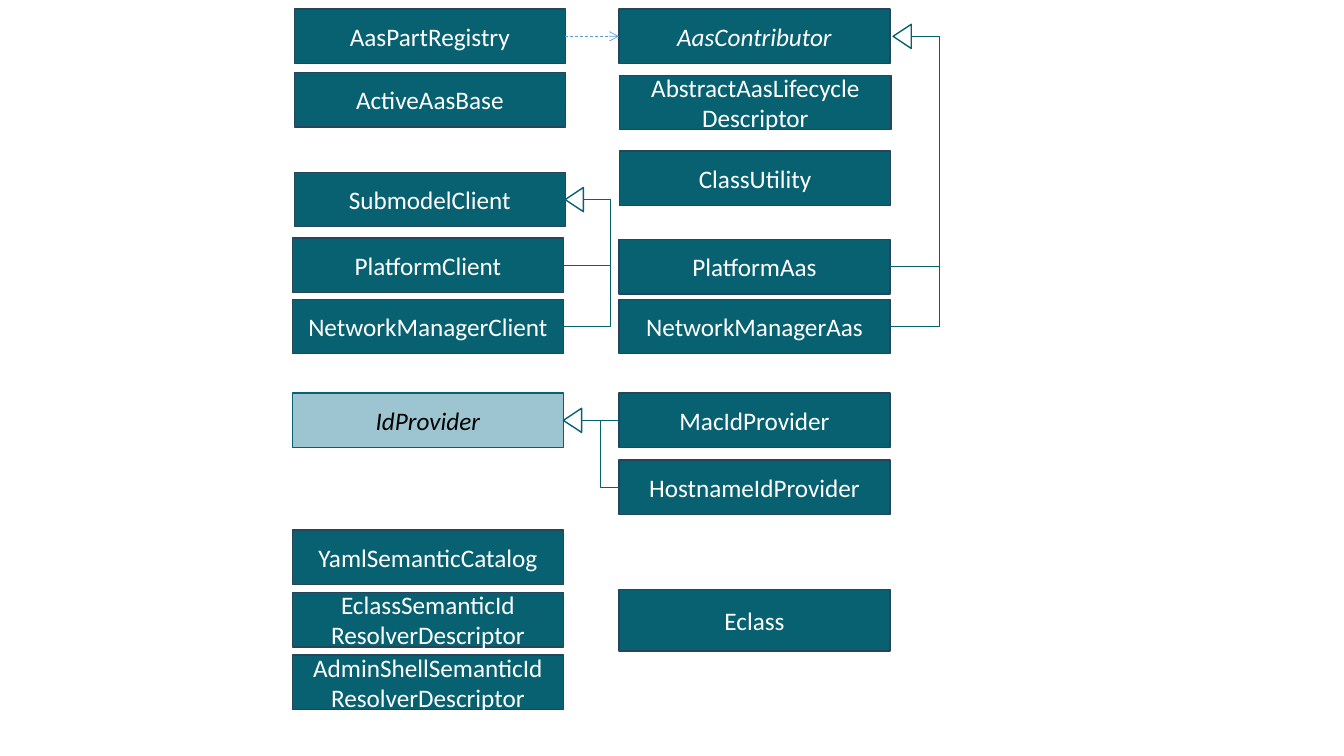
"""Build a class diagram slide of asset administration shell components."""
import pptx
import pptx.dml.color
import pptx.enum.dml
import pptx.enum.shapes
import pptx.enum.text
import pptx.oxml
import pptx.oxml.ns
import pptx.util
from pptx.util import Pt

LEFT, LEFT_INSET, RIGHT = 208.8, 210.2, 442.1
BOX_WIDTH, BOX_HEIGHT, TALL_HEIGHT = 193.7, 38.9, 43.9
TRIANGLE_BASE, TRIANGLE_DEPTH = 17.3, 13

CLASSES = [
    ("AasPartRegistry", LEFT_INSET, 6.5),
    ("ActiveAasBase", LEFT_INSET, 51.8),
    ("SubmodelClient", LEFT_INSET, 123.1),
    ("PlatformClient", LEFT, 169.9),
    ("NetworkManagerClient", LEFT, 213.8),
    ("IdProvider", LEFT, 280.8),
    ("YamlSemanticCatalog", LEFT, 378.7),
    ("EclassSemanticId\vResolverDescriptor", LEFT, 423.2),
    ("AdminShellSemanticId\vResolverDescriptor", LEFT, 468),
    ("AasContributor", RIGHT, 6.5),
    ("AbstractAasLifecycle\vDescriptor", RIGHT + 0.6, 53.8),
    ("ClassUtility", RIGHT + 0.4, 108),
    ("PlatformAas", RIGHT, 171.2),
    ("NetworkManagerAas", RIGHT, 213.8),
    ("MacIdProvider", RIGHT, 280.8),
    ("HostnameIdProvider", RIGHT, 328.5),
    ("Eclass", RIGHT, 421.2),
]
ABSTRACT = {"AasContributor", "IdProvider"}
HIGHLIGHTED = {"IdProvider"}
TALL = {"Eclass"}
USES = ("AasPartRegistry", "AasContributor")
INHERITANCE = [
    ("AasContributor", ["PlatformAas", "NetworkManagerAas"], 644.4, 671),
    ("SubmodelClient", ["PlatformClient", "NetworkManagerClient"], 410.2, 436.3),
    ("IdProvider", ["MacIdProvider", "HostnameIdProvider"], 408.9, 428.6),
]


def color(value):
    return pptx.dml.color.RGBColor.from_string(value)


THEME = {
    "font": "Calibri",
    "size": Pt(18),
    "text": color("FFFFFF"),
    "box": color("086171"),
    "border": color("28445D"),
    "highlight": color("9CC5D1"),
    "highlight_text": color("000000"),
    "arrow": color("5B9BD5"),
}


def add_class(slide, name, left, top):
    height = TALL_HEIGHT if name in TALL else BOX_HEIGHT
    highlighted = name in HIGHLIGHTED
    shape = slide.shapes.add_shape(
        pptx.enum.shapes.MSO_SHAPE.RECTANGLE, Pt(left), Pt(top), Pt(BOX_WIDTH), Pt(height))
    shape.shadow.inherit = False
    shape.fill.solid()
    shape.fill.fore_color.rgb = THEME["highlight" if highlighted else "box"]
    shape.line.color.rgb = THEME["box" if highlighted else "border"]
    shape.line.width = Pt(1)
    frame = shape.text_frame
    frame.word_wrap = True
    frame.vertical_anchor = pptx.enum.text.MSO_ANCHOR.MIDDLE
    paragraph = frame.paragraphs[0]
    paragraph.text = name
    paragraph.alignment = pptx.enum.text.PP_ALIGN.CENTER
    paragraph.font.name = THEME["font"]
    paragraph.font.size = THEME["size"]
    paragraph.font.italic = name in ABSTRACT
    paragraph.font.color.rgb = THEME["highlight_text" if highlighted else "text"]


def add_line(slide, kind, start, end, line_color):
    connector = slide.shapes.add_connector(kind, *(Pt(value) for value in (*start, *end)))
    connector.line.color.rgb = line_color
    connector.line.width = Pt(0.5)
    properties = connector._element.spPr
    properties.append(pptx.oxml.parse_xml(f"<a:effectLst {pptx.oxml.ns.nsdecls('a')}/>"))
    return connector


def add_use(slide, start, end):
    connector = add_line(
        slide, pptx.enum.shapes.MSO_CONNECTOR.STRAIGHT, start, end, THEME["arrow"])
    connector.line.dash_style = pptx.enum.dml.MSO_LINE.DASH
    connector.line._get_or_add_ln().append(
        pptx.oxml.parse_xml(f"<a:tailEnd {pptx.oxml.ns.nsdecls('a')} type='arrow'/>"))


def add_branch(slide, start, end, bend):
    connector = add_line(
        slide, pptx.enum.shapes.MSO_CONNECTOR.ELBOW, start, end, THEME["box"])
    ratio = round((bend - start[0]) / (end[0] - start[0]) * 100000)
    geometry = connector._element.spPr.find(pptx.oxml.ns.qn("a:prstGeom"))
    adjustments = geometry.get_or_add_avLst()
    adjustments.append(pptx.oxml.parse_xml(
        f"<a:gd {pptx.oxml.ns.nsdecls('a')} name='adj1' fmla='val {ratio}'/>"))


def add_triangle(slide, center_x, center_y):
    shape = slide.shapes.add_shape(
        pptx.enum.shapes.MSO_SHAPE.ISOSCELES_TRIANGLE,
        Pt(center_x - TRIANGLE_BASE / 2), Pt(center_y - TRIANGLE_DEPTH / 2),
        Pt(TRIANGLE_BASE), Pt(TRIANGLE_DEPTH))
    shape.rotation = 270
    shape.shadow.inherit = False
    shape.fill.background()
    shape.line.color.rgb = THEME["box"]
    shape.line.width = Pt(1)


def main():
    presentation = pptx.Presentation()
    presentation.slide_width, presentation.slide_height = Pt(960), Pt(540)
    slide = presentation.slides.add_slide(presentation.slide_layouts[6])
    places = {name: (left, top + BOX_HEIGHT / 2) for name, left, top in CLASSES}
    for name, left, top in CLASSES:
        add_class(slide, name, left, top)
    user_left, user_y = places[USES[0]]
    add_use(slide, (user_left + BOX_WIDTH, user_y), places[USES[1]])
    for parent, children, center_x, bend in INHERITANCE:
        center_y = places[parent][1]
        add_triangle(slide, center_x, center_y)
        start = (center_x + TRIANGLE_DEPTH / 2, center_y)
        for child in children:
            left, child_y = places[child]
            edge = left if bend < left else left + BOX_WIDTH
            add_branch(slide, start, (edge, child_y), bend)
    presentation.save("out.pptx")


if __name__ == "__main__":
    main()
